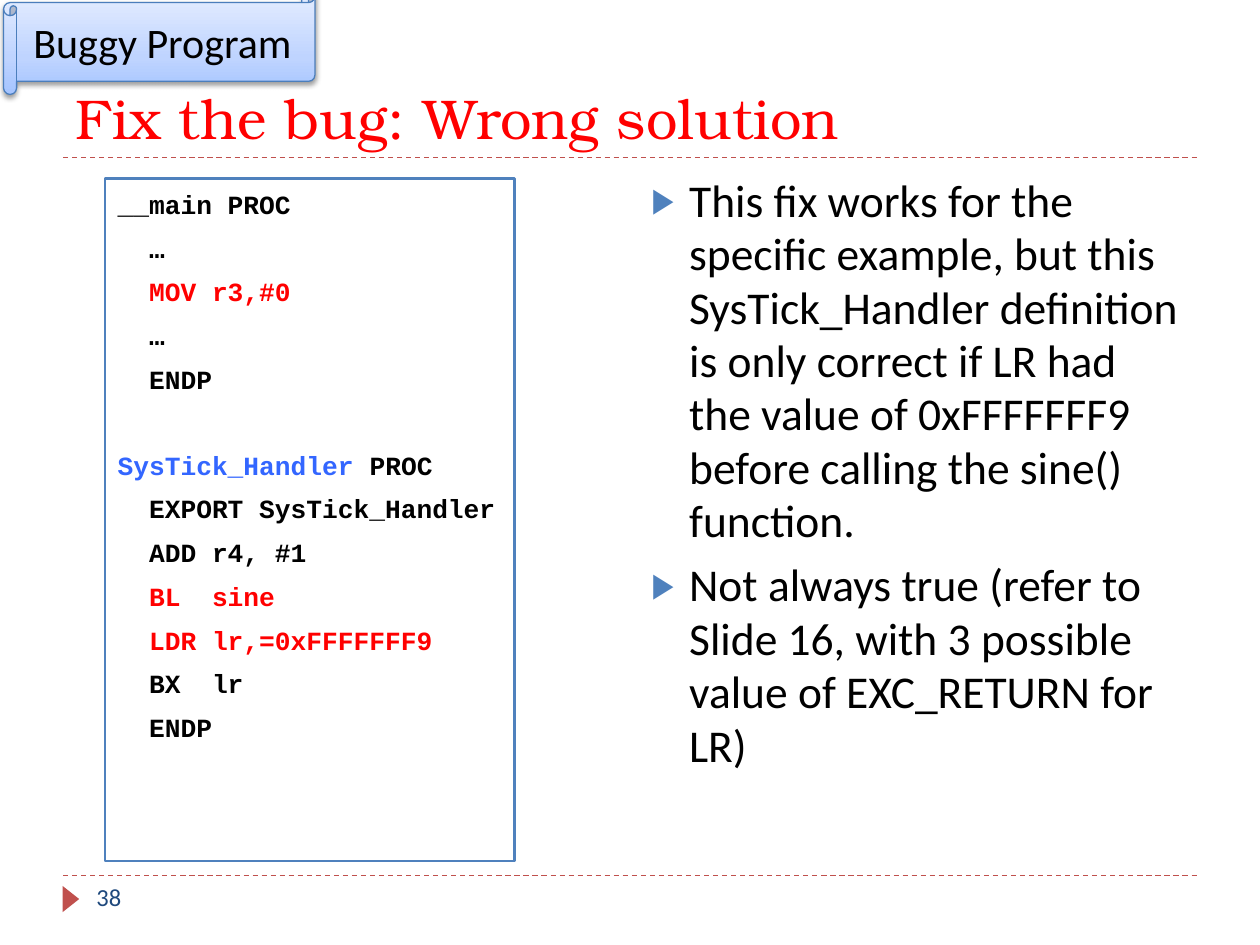
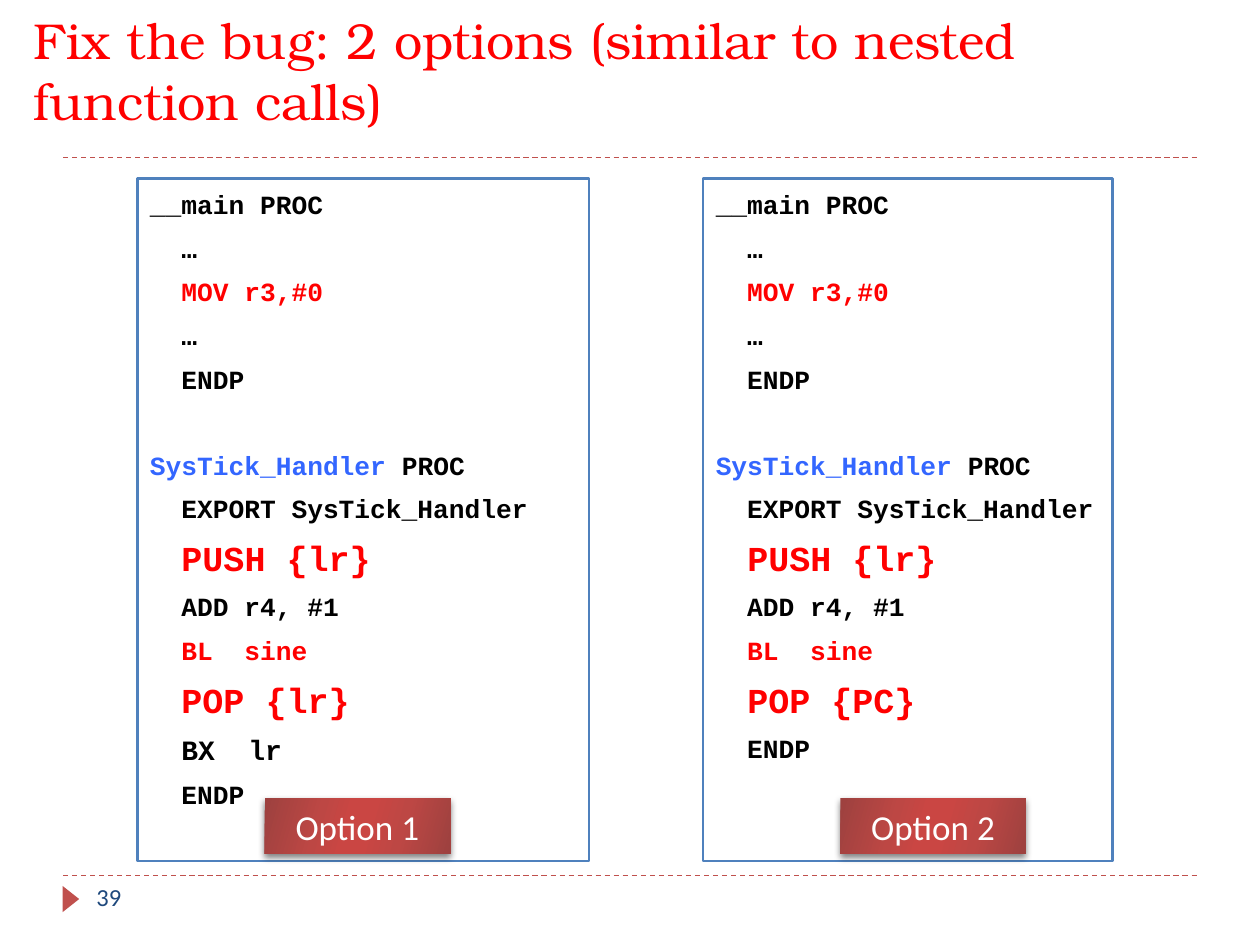
import pptx
import pptx.dml.color
import pptx.enum.dml
import pptx.enum.shapes
import pptx.enum.text
import pptx.oxml
import pptx.oxml.ns
import pptx.util
from dataclasses import dataclass
from lxml import etree

Pt = pptx.util.Pt
Shapes = pptx.enum.shapes.MSO_SHAPE
Anchor = pptx.enum.text.MSO_ANCHOR
Align = pptx.enum.text.PP_ALIGN
qn = pptx.oxml.ns.qn


@dataclass(frozen=True)
class Theme:
    white: str = "FFFFFF"
    black: str = "000000"
    red: str = "FF0000"
    blue: str = "4F81BD"
    label: str = "3366FF"
    navy: str = "1F497D"
    brick: str = "C0504D"
    scroll_line: str = "4B7EBC"
    scroll_stops: tuple = ((0, "A4C4FF"), (35, "BFD4FF"), (100, "E6EEFF"))
    option_stops: tuple = ((0, "9D413F"), (30, "BD4744"), (45, "CA4643"),
                           (55, "CA4643"), (73, "BD4744"), (100, "9D413F"))
    sans: str = "Calibri"
    mono: str = "Courier New"
    serif: str = "TeX Gyre Bonum"
    number_size: float = 14
    code_size: float = 15
    option_size: float = 20
    banner_size: float = 24
    body_size: float = 26


THEME = Theme()


def text_style(name, size, color, bold=False):
    return {"name": name, "size": Pt(size), "bold": bold, "color": color}


CODE_STYLES = {
    "code": text_style(THEME.mono, THEME.code_size, THEME.black, True),
    "label": text_style(THEME.mono, THEME.code_size, THEME.label, True),
    "fix": text_style(THEME.mono, THEME.code_size, THEME.red, True),
    "key fix": text_style(THEME.mono, 20, THEME.red, True),
    "return": text_style(THEME.mono, 16, THEME.black, True),
}

# A program is a list of procedures, a procedure a list of lines,
# and a line a list of (text, style) pairs.
MAIN = [
    [("__main PROC", "code")],
    [("  …", "code")],
    [("  MOV r3,#0", "fix")],
    [("  …", "code")],
    [("  ENDP", "code")],
]
HANDLER_START = [
    [("SysTick_Handler", "label"), (" PROC", "code")],
    [("  EXPORT SysTick_Handler", "code")],
]
PUSH = [[("  ", "code"), ("PUSH {lr}", "key fix")]]
CALL_SINE = [[("  ADD r4, #1", "code")], [("  BL  sine", "fix")]]
END = [[("  ENDP", "code")]]

WRONG_FIX = [MAIN, HANDLER_START + CALL_SINE + [
    [("  LDR lr,=0xFFFFFFF9", "fix")],
    [("  BX  lr", "code")],
] + END]
POP_LR = [MAIN, HANDLER_START + PUSH + CALL_SINE + [
    [("  ", "code"), ("POP {lr}", "key fix")],
    [("  ", "code"), ("BX  lr", "return")],
] + END]
POP_PC = [MAIN, HANDLER_START + PUSH + CALL_SINE + [
    [("  ", "code"), ("POP {PC}", "key fix")],
] + END]

REMARKS = [
    "This fix works for the specific example, but this SysTick_Handler definition "
    "is only correct if LR had the value of 0xFFFFFFF9 before calling the sine() function.",
    "Not always true (refer to Slide 16, with 3 possible value of EXC_RETURN for LR)",
]
WRONG_TITLE = {"text": "Fix the bug: Wrong solution", "at": (36, 18), "size": 32}
OPTIONS_TITLE = {"text": "Fix the bug: 2 options (similar to nested function calls)",
                 "at": (12, 6), "size": 28.8}
# (name, program, code left, code width, tag left)
OPTIONS = [
    ("Option 1", POP_LR, 78.5, 258, 151.2),
    ("Option 2", POP_PC, 401.8, 234, 480.2),
]
CODE_TOP, CODE_HEIGHT = 102, 390
RULE_TOPS = (90, 500.4)
RULE_LEFT, RULE_RIGHT = 36, 684
LINE_GAP, PROCEDURE_GAP = 7, 31


def rgb(value):
    return pptx.dml.color.RGBColor.from_string(value)


def place(shape, left, top, width, height):
    values = {"left": left, "top": top, "width": width, "height": height}
    for name, value in values.items():
        setattr(shape, name, Pt(value))


def add_span(para, text, style):
    span = para.add_run()
    span.text = text
    for name, value in style.items():
        if name == "color":
            span.font.color.rgb = rgb(value)
        else:
            setattr(span.font, name, value)


def set_frame(frame, anchor):
    values = {"word_wrap": True, "vertical_anchor": anchor,
              "auto_size": pptx.enum.text.MSO_AUTO_SIZE.NONE}
    for name, value in values.items():
        setattr(frame, name, value)


def paragraphs(frame, items):
    """Yield each item with its paragraph, reusing the frame's first one."""
    for index, item in enumerate(items):
        yield (frame.add_paragraph() if index else frame.paragraphs[0]), item


def set_bullet(para, indent=0, char=None):
    props = para._p.get_or_add_pPr()
    props.set("marL", str(Pt(indent)))
    props.set("indent", str(-Pt(indent)))
    if char is None:
        etree.SubElement(props, qn("a:buNone"))
        return
    color = etree.SubElement(props, qn("a:buClr"))
    etree.SubElement(color, qn("a:srgbClr"), val=THEME.blue)
    etree.SubElement(props, qn("a:buSzPct"), val="76000")
    etree.SubElement(props, qn("a:buFont"), typeface="Arial")
    etree.SubElement(props, qn("a:buChar"), char=char)


def set_gradient(shape, stops, angle):
    shape.fill.gradient()
    gradient = shape._element.spPr.find(qn("a:gradFill"))
    stop_list = gradient.find(qn("a:gsLst"))
    for stop in list(stop_list):
        stop_list.remove(stop)
    for position, color in stops:
        stop = etree.SubElement(stop_list, qn("a:gs"), pos=str(position * 1000))
        etree.SubElement(stop, qn("a:srgbClr"), val=color)
    gradient.find(qn("a:lin")).set("ang", str(angle * 60000))


def set_shadow(shape, opacity, blur, distance):
    shape.shadow.inherit = False
    effects = shape._element.spPr.find(qn("a:effectLst"))
    shadow = etree.SubElement(effects, qn("a:outerShdw"), blurRad=str(Pt(blur)),
                              dist=str(Pt(distance)), dir="5400000", rotWithShape="0")
    color = etree.SubElement(shadow, qn("a:srgbClr"), val=THEME.black)
    etree.SubElement(color, qn("a:alpha"), val=str(opacity * 1000))


def add_label(page, preset, box, text, size, color):
    shape = page.shapes.add_shape(preset, *map(Pt, box))
    set_frame(shape.text_frame, Anchor.MIDDLE)
    para = shape.text_frame.paragraphs[0]
    para.alignment = Align.CENTER
    add_span(para, text, text_style(THEME.sans, size, color))
    return shape


def add_banner(page, text):
    banner = add_label(page, Shapes.HORIZONTAL_SCROLL, (2, -6, 178, 60), text,
                       THEME.banner_size, THEME.black)
    set_gradient(banner, THEME.scroll_stops, 270)
    banner.line.color.rgb = rgb(THEME.scroll_line)
    banner.line.width = Pt(0.75)
    set_shadow(banner, 38, 3.1, 1.6)


def add_option_tag(page, text, left):
    tag = add_label(page, Shapes.RECTANGLE, (left, 456, 106, 32), text,
                    THEME.option_size, THEME.white)
    set_gradient(tag, THEME.option_stops, 16)
    tag.line.fill.background()
    set_shadow(tag, 50, 4, 2)


def fill_code(box, program, left, width):
    place(box, left, CODE_TOP, width, CODE_HEIGHT)
    box.fill.solid()
    box.fill.fore_color.rgb = rgb(THEME.white)
    box.line.color.rgb = rgb(THEME.blue)
    box.line.width = Pt(1.5)
    frame = box.text_frame
    set_frame(frame, Anchor.TOP)
    frame.margin_top = Pt(5.5)
    lines = [(PROCEDURE_GAP if index == 0 else LINE_GAP, line)
             for procedure in program for index, line in enumerate(procedure)]
    lines[0] = (0, lines[0][1])
    for para, (gap, line) in paragraphs(frame, lines):
        set_bullet(para)
        para.space_before = Pt(gap)
        for text, style in line:
            add_span(para, text, CODE_STYLES[style])


def fill_remarks(box, remarks):
    place(box, 365, 96, 318, 389)
    set_frame(box.text_frame, Anchor.TOP)
    style = text_style(THEME.sans, THEME.body_size, THEME.black)
    for index, (para, remark) in enumerate(paragraphs(box.text_frame, remarks)):
        set_bullet(para, 21.6, "▶")
        para.space_before = Pt(6 if index else 0)
        para.line_spacing = 0.98
        add_span(para, remark, style)


def add_footer(page, number):
    for top in RULE_TOPS:
        rule = page.shapes.add_connector(pptx.enum.shapes.MSO_CONNECTOR.STRAIGHT,
                                         Pt(RULE_LEFT), Pt(top), Pt(RULE_RIGHT), Pt(top))
        rule.line.color.rgb = rgb(THEME.brick)
        rule.line.width = Pt(0.75)
        rule.line.dash_style = pptx.enum.dml.MSO_LINE.DASH
        etree.SubElement(rule._element.spPr, qn("a:effectLst"))
    marker = page.shapes.add_shape(Shapes.ISOSCELES_TRIANGLE,
                                   Pt(33), Pt(509), Pt(15), Pt(9.5))
    marker.rotation = 90
    marker.shadow.inherit = False
    marker.fill.solid()
    marker.fill.fore_color.rgb = rgb(THEME.brick)
    marker.line.fill.background()
    box = page.shapes.add_textbox(Pt(48), Pt(500.4), Pt(156), Pt(29))
    set_frame(box.text_frame, Anchor.TOP)
    add_span(box.text_frame.paragraphs[0], str(number),
             text_style(THEME.sans, THEME.number_size, THEME.navy))


def add_page(deck, title, number):
    """Add a two-content page with its title, rules and number."""
    page = deck.slides.add_slide(deck.slide_layouts.get_by_name("Two Content"))
    heading = page.shapes.title
    place(heading, *title["at"], 648, 72)
    set_frame(heading.text_frame, Anchor.BOTTOM)
    para = heading.text_frame.paragraphs[0]
    para.alignment = Align.LEFT
    add_span(para, title["text"], text_style(THEME.serif, title["size"], THEME.red))
    add_footer(page, number)
    return page


def main():
    deck = pptx.Presentation()
    deck.slide_width, deck.slide_height = Pt(720), Pt(540)

    wrong = add_page(deck, WRONG_TITLE, 38)
    fill_code(wrong.placeholders[1], WRONG_FIX, 60, 234)
    fill_remarks(wrong.placeholders[2], REMARKS)
    add_banner(wrong, "Buggy Program")

    options = add_page(deck, OPTIONS_TITLE, 39)
    for index, (name, program, left, width, tag_left) in enumerate(OPTIONS, start=1):
        fill_code(options.placeholders[index], program, left, width)
        add_option_tag(options, name, tag_left)

    deck.save("out.pptx")


if __name__ == "__main__":
    main()
